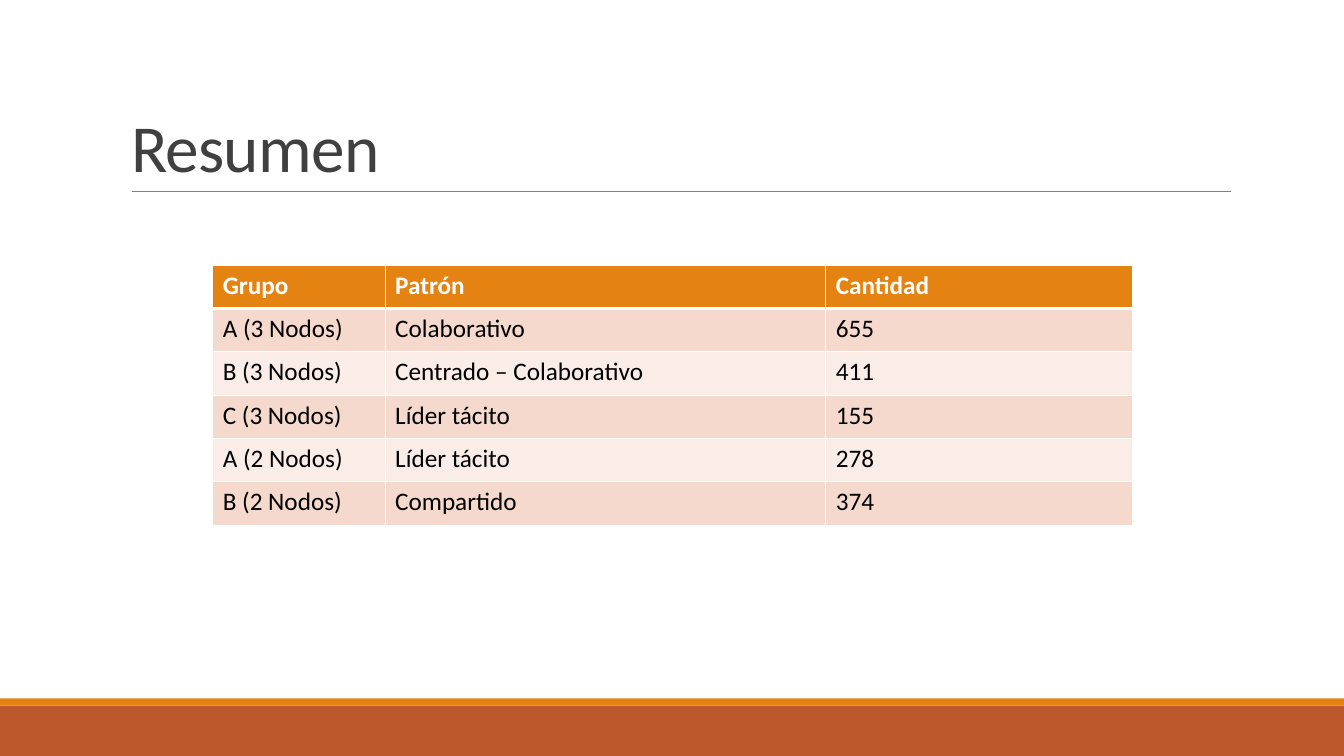
import lxml.etree
import pptx
import pptx.dml.color
import pptx.enum.shapes
import pptx.enum.text
import pptx.oxml.ns
import pptx.util

Inches = pptx.util.Inches
Pt = pptx.util.Pt
qn = pptx.oxml.ns.qn

SLIDE_WIDTH, SLIDE_HEIGHT = 13.33, 7.5
ORANGE, RUST, WHITE = "E48312", "BD582C", "FFFFFF"
BAND_FILLS = ("F5D9CC", "FAEDE7")
COLUMN_WIDTHS = (1.71, 4.37, 3.04)
ROW_HEIGHT = 0.43
SUMMARY = (
    ("Grupo", "Patrón", "Cantidad"),
    ("A (3 Nodos)", "Colaborativo", "655"),
    ("B (3 Nodos)", "Centrado – Colaborativo", "411"),
    ("C (3 Nodos)", "Líder tácito", "155"),
    ("A (2 Nodos)", "Líder tácito", "278"),
    ("B (2 Nodos)", "Compartido", "374"),
)


def color(hex_value):
    return pptx.dml.color.RGBColor.from_string(hex_value)


def set_attributes(target, values):
    for name, value in values.items():
        setattr(target, name, value)


class SlideBuilder:
    font_name = "Calibri"

    def __init__(self, slide):
        self.slide = slide

    def add_text(self, text_frame, text, size, hex_value, bold=False):
        paragraph = text_frame.paragraphs[0]
        run = paragraph.add_run()
        run.text = text
        set_attributes(run.font, {"name": self.font_name, "size": Pt(size), "bold": bold})
        run.font.color.rgb = color(hex_value)
        return paragraph, run

    def bar(self, top, height, hex_value):
        shape = self.slide.shapes.add_shape(
            pptx.enum.shapes.MSO_SHAPE.RECTANGLE,
            0, Inches(top), Inches(SLIDE_WIDTH), Inches(height))
        shape.shadow.inherit = False
        shape.fill.solid()
        shape.fill.fore_color.rgb = color(hex_value)
        shape.line.fill.background()

    def rule(self, left, right, top, hex_value, width):
        connector = self.slide.shapes.add_connector(
            pptx.enum.shapes.MSO_CONNECTOR.STRAIGHT,
            Inches(left), Inches(top), Inches(right), Inches(top))
        connector.line.color.rgb = color(hex_value)
        connector.line.width = Pt(width)
        lxml.etree.SubElement(connector._element.spPr, qn("a:effectLst"))

    def title(self, text, left, top, width, height):
        shape = self.slide.shapes.title
        set_attributes(shape, {"left": Inches(left), "top": Inches(top),
                               "width": Inches(width), "height": Inches(height)})
        set_attributes(shape.text_frame, {
            "word_wrap": True,
            "vertical_anchor": pptx.enum.text.MSO_ANCHOR.BOTTOM})
        paragraph, run = self.add_text(shape.text_frame, text, 48, "404040")
        set_attributes(paragraph, {"alignment": pptx.enum.text.PP_ALIGN.LEFT,
                                   "line_spacing": 0.85})
        run.font._element.set("spc", "-50")

    def cell_borders(self, cell, widths):
        """Draw white borders; widths are points for left, right, top, bottom."""
        properties = cell._tc.get_or_add_tcPr()
        for side, width in zip("LRTB", widths):
            border = lxml.etree.SubElement(properties, qn(f"a:ln{side}"), w=str(Pt(width)))
            fill = lxml.etree.SubElement(border, qn("a:solidFill"))
            lxml.etree.SubElement(fill, qn("a:srgbClr"), val=WHITE)

    def table(self, rows, left, top):
        table = self.slide.shapes.add_table(
            len(rows), len(COLUMN_WIDTHS), Inches(left), Inches(top),
            Inches(sum(COLUMN_WIDTHS)), Inches(ROW_HEIGHT * len(rows))).table
        for column, width in zip(table.columns, COLUMN_WIDTHS):
            column.width = Inches(width)
        for row_index, texts in enumerate(rows):
            table.rows[row_index].height = Inches(ROW_HEIGHT)
            header = row_index == 0
            fill = ORANGE if header else BAND_FILLS[(row_index - 1) % 2]
            widths = (1, 1, 3 if row_index == 1 else 1, 3 if header else 1)
            for column_index, text in enumerate(texts):
                cell = table.cell(row_index, column_index)
                self.add_text(cell.text_frame, text, 18, WHITE if header else "000000", header)
                self.cell_borders(cell, widths)
                cell.fill.solid()
                cell.fill.fore_color.rgb = color(fill)


def main():
    presentation = pptx.Presentation()
    set_attributes(presentation, {"slide_width": Inches(SLIDE_WIDTH),
                                  "slide_height": Inches(SLIDE_HEIGHT)})
    title_only = presentation.slide_layouts[5]
    builder = SlideBuilder(presentation.slides.add_slide(title_only))
    builder.bar(7, 0.5, RUST)
    builder.bar(6.93, 0.07, ORANGE)
    builder.rule(1.31, 12.21, 1.9, "808080", 0.5)
    builder.title("Resumen", 1.2, 0.31, 11, 1.59)
    builder.table(SUMMARY, 2.11, 2.63)
    presentation.save("out.pptx")


if __name__ == "__main__":
    main()
